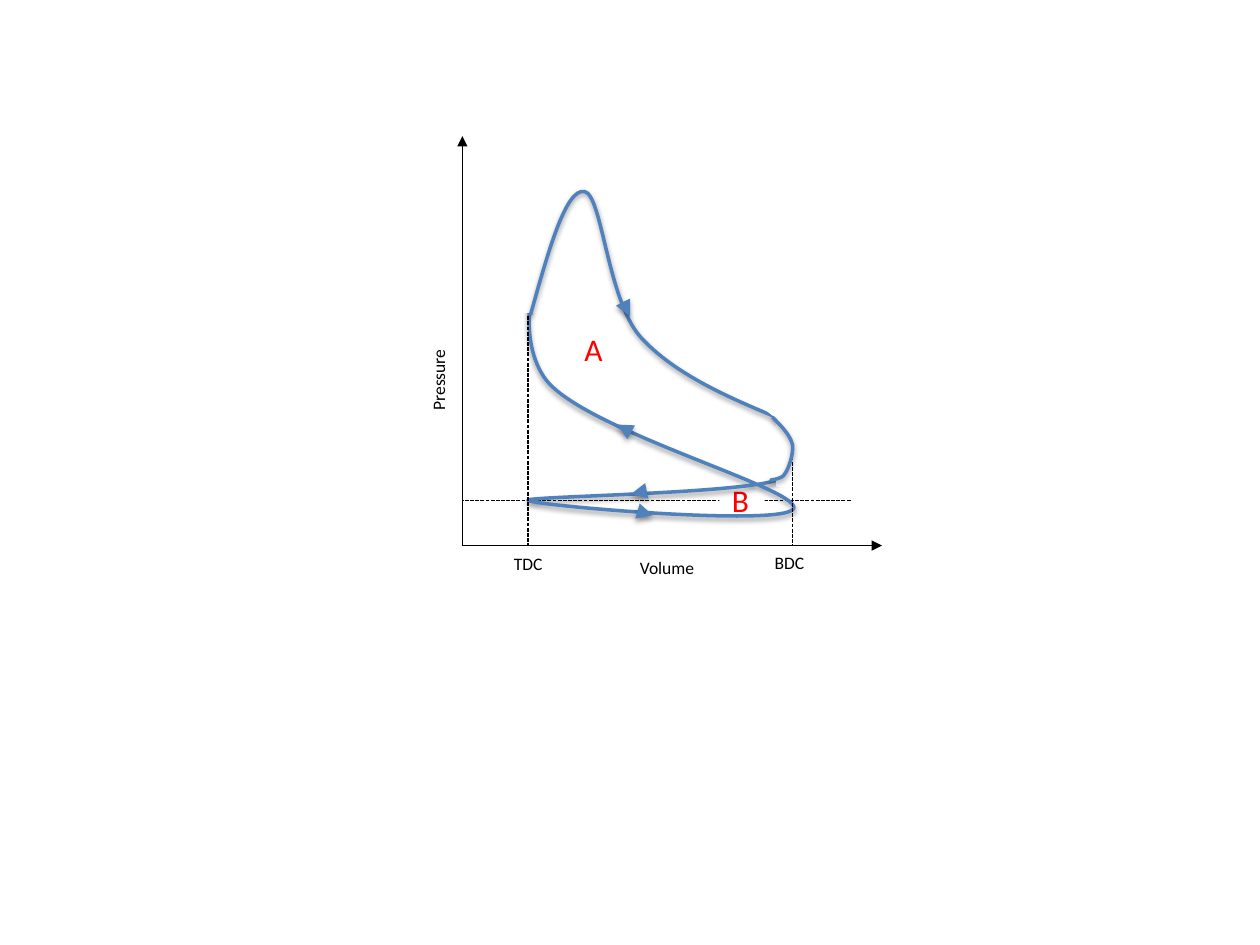
from pptx import Presentation
from pptx.dml.color import RGBColor as Rgb
from pptx.enum.dml import MSO_LINE as Dash
from pptx.enum.shapes import MSO_CONNECTOR as Link, MSO_SHAPE as Kind
from pptx.enum.text import MSO_ANCHOR as Anchor, MSO_AUTO_SIZE as Fit, PP_ALIGN as Align
from pptx.oxml.ns import qn
from pptx.util import Cm, Pt
from lxml.etree import SubElement as Sub

HUES = {"ink": "000000", "curve": "4F81BD", "mark": "FF0000", "paper": "FFFFFF"}

# Plot landmarks, in inches
LEFT, BASE = 3.67, 4.33
TDC, BDC, AMBIENT = 4.19, 6.29, 3.97

# Each curve: start point, then control, control, end for every segment
LOOP = [(6.18, 3.32), (6.34, 3.51), (6.5, 3.7), (6.17, 3.81),
        (5.84, 3.92), (4.17, 3.94), (4.19, 3.97),
        (4.21, 4.01), (6.28, 4.19), (6.3, 4.03),
        (6.32, 3.87), (4.63, 3.41), (4.33, 3.01),
        (4.03, 2.6), (4.31, 1.8), (4.51, 1.6)]
POWER = [(4.21, 2.5), (4.35, 2), (4.49, 1.49), (4.64, 1.52),
         (4.78, 1.55), (4.82, 2.37), (5.08, 2.67),
         (5.35, 2.97), (5.79, 3.16), (6.23, 3.34)]
BLOW = [(6.13, 3.31), (6.2, 3.38), (6.27, 3.45), (6.29, 3.53),
        (6.3, 3.6), (6.26, 3.72), (6.23, 3.76),
        (6.21, 3.81), (6.08, 3.81), (6.13, 3.81)]
FLOW = [(4.95, 2.41, 5, 2.51), (4.99, 3.42, 4.9, 3.37),
        (5.11, 3.9, 5.01, 3.92), (5.11, 4.07, 5.18, 4.09)]


def cm(*sizes):
    return [Cm(2.54 * size) for size in sizes]


def hue(name):
    return Rgb.from_string(HUES[name])


def set_line(shape, name, width):
    shape.line.color.rgb = hue(name)
    shape.line.width = Pt(width)


def set_shade(shape, alpha=0, dist=0):
    """Drop a soft shadow straight down; without alpha there is none."""
    effects = Sub(shape._element.spPr, qn("a:effectLst"))
    if alpha:
        shade = Sub(effects, qn("a:outerShdw"), blurRad=str(Pt(3.1)),
                    dist=str(Pt(dist)), dir="5400000", rotWithShape="0")
        color = Sub(shade, qn("a:srgbClr"), val=HUES["ink"])
        Sub(color, qn("a:alpha"), val=str(alpha * 1000))


def add_line(slide, ends, name="ink", width=0.75, dash=None, arrow=False, shade=()):
    line = slide.shapes.add_connector(Link.STRAIGHT, *cm(*ends))
    set_line(line, name, width)
    if dash:
        line.line.dash_style = dash
    if arrow:
        Sub(line.line._get_or_add_ln(), qn("a:tailEnd"), type="triangle")
    set_shade(line, *shade)


def add_curve(slide, points, box):
    """Span the box with a freeform, then give it Bezier segments."""
    left, top, width, height = cm(*box)
    pen = slide.shapes.build_freeform(left, top)
    pen.add_line_segments([(left + width, top + height)], close=False)
    curve = pen.convert_to_shape()
    route = next(curve._element.iter(qn("a:path")))
    for old in list(route):
        route.remove(old)

    def plot(tag, nodes):
        part = Sub(route, qn(tag))
        for node in nodes:
            x, y = cm(*node)
            Sub(part, qn("a:pt"), x=str(x - left), y=str(y - top))

    plot("a:moveTo", points[:1])
    for i in range(1, len(points), 3):
        plot("a:cubicBezTo", points[i:i + 3])
    curve.fill.background()
    set_line(curve, "curve", 2)
    set_shade(curve, 38, 1.6)


def add_mask(slide, box, turn=0, edge=True):
    mask = slide.shapes.add_shape(Kind.RECTANGLE, *cm(*box))
    mask.rotation = turn
    mask.shadow.inherit = False
    mask.fill.solid()
    mask.fill.fore_color.rgb = hue("paper")
    if edge:
        set_line(mask, "paper", 2)
    else:
        mask.line.fill.background()
    return mask


def write(shape, text, points=10, name="ink"):
    frame = shape.text_frame
    look = {"word_wrap": True, "auto_size": Fit.SHAPE_TO_FIT_TEXT,
            "vertical_anchor": Anchor.TOP}
    for key, value in look.items():
        setattr(frame, key, value)
    para = frame.paragraphs[0]
    para.alignment = Align.LEFT
    run = para.add_run()
    run.text = text
    for key, value in {"name": "Calibri", "size": Pt(points)}.items():
        setattr(run.font, key, value)
    run.font.color.rgb = hue(name)


def add_label(slide, text, left, top, size=(1.18, 0.27), turn=0, **look):
    label = slide.shapes.add_textbox(*cm(left, top, *size))
    label.rotation = turn
    write(label, text, **look)


def main():
    deck = Presentation()
    deck.slide_width, deck.slide_height = cm(10, 7.5)
    slide = deck.slides.add_slide(deck.slide_layouts[6])
    area = {"points": 18, "name": "mark"}
    dots = Dash.SQUARE_DOT

    # Ambient pressure and the pumping area
    add_line(slide, (6.75, AMBIENT, LEFT, AMBIENT), dash=dots)
    pump = add_mask(slide, (5.71, 3.77, 0.36, 0.4), edge=False)
    write(pump, "B", **area)

    # Gas exchange and compression, then the power stroke
    add_curve(slide, LOOP, (4.19, 1.6, 2.18, 2.49))
    add_mask(slide, (3.91, 1.38, 1.12, 1.09))
    add_curve(slide, POWER, (4.21, 1.52, 2.02, 1.82))
    add_mask(slide, (5.86, 2.27, 1.12, 1.09), turn=37.8)

    # Axes and their labels
    add_label(slide, "Pressure", 2.89, 2.63, turn=270)
    add_label(slide, "Volume", 4.98, 4.37)
    for end in ((LEFT, 1.08), (7, BASE)):
        add_line(slide, (LEFT, BASE, *end), arrow=True)
    add_label(slide, "TDC", 3.98, 4.34)
    add_label(slide, "BDC", 6.05, 4.33)

    # Dead centres and the blowdown
    add_line(slide, (TDC, 2.51, TDC, BASE), dash=dots)
    add_mask(slide, (6.17, 2.76, 1.12, 1.09))
    add_line(slide, (BDC, 3.5, BDC, BASE), dash=dots)
    add_curve(slide, BLOW, (6.12, 3.31, 0.17, 0.51))

    # Direction of the cycle and the work area
    for ends in FLOW:
        add_line(slide, ends, "curve", 3, arrow=True, shade=(35, 1.8))
    add_label(slide, "A", 4.54, 2.57, size=(0.36, 0.4), **area)

    deck.save("out.pptx")


if __name__ == "__main__":
    main()
